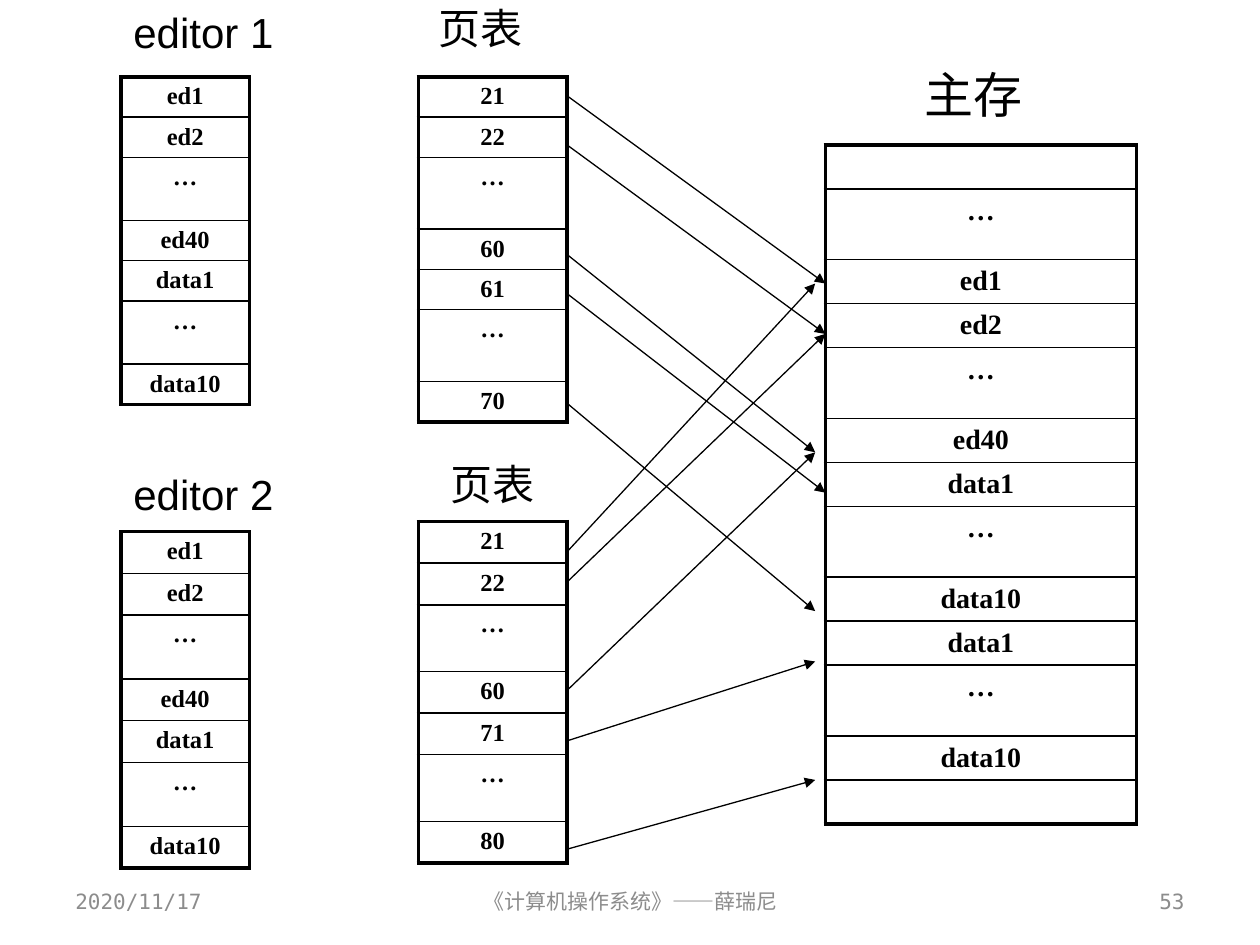
from lxml import etree
from pptx import Presentation
from pptx.dml.color import RGBColor
from pptx.enum.text import MSO_ANCHOR, PP_ALIGN
from pptx.oxml.ns import qn
from pptx.util import Inches, Pt

LEFT, CENTER, RIGHT = PP_ALIGN.LEFT, PP_ALIGN.CENTER, PP_ALIGN.RIGHT
TOP, MIDDLE = MSO_ANCHOR.TOP, MSO_ANCHOR.MIDDLE
BLACK, GREY = "000000", "8C8C8C"
GAP = "…"

# Content
EDITOR = ["ed1", "ed2", GAP, "ed40", "data1", GAP, "data10"]
PAGES_1 = ["21", "22", GAP, "60", "61", GAP, "70"]
PAGES_2 = ["21", "22", GAP, "60", "71", GAP, "80"]
MEMORY = ["", GAP, "ed1", "ed2", GAP, "ed40", "data1", GAP,
          "data10", "data1", GAP, "data10", ""]

# entries, left, top, width, row height, gap row height, text size
EDITOR_X, PAGES_X, MEMORY_X = 0.96, 3.32, 6.55
EDITOR_W, PAGES_W, MEMORY_W = 1.02, 1.18, 2.47
TABLES = [
    (EDITOR, EDITOR_X, 0.61, EDITOR_W, 0.32, 0.5, 14),
    (PAGES_1, PAGES_X, 0.61, PAGES_W, 0.32, 0.57, 14),
    (MEMORY, MEMORY_X, 1.15, MEMORY_W, 0.35, 0.56, 16),
    (EDITOR, EDITOR_X, 4.22, EDITOR_W, 0.33, 0.51, 14),
    (PAGES_2, PAGES_X, 4.14, PAGES_W, 0.33, 0.53, 14),
]

# text, left, top, width, height, size
HEADINGS = [
    ("editor 1", EDITOR_X, 0, 1.32, 0.5, 24),
    ("editor 2", EDITOR_X, 3.67, 1.32, 0.5, 24),
    ("页表", 3.38, -0.03, 0.87, 0.5, 24),
    ("页表", 3.48, 3.59, 0.87, 0.5, 24),
    ("主存", 7.24, 0.46, 0.98, 0.57, 28),
]

# text, left, width, alignment
FOOTERS = [
    ("2020/11/17", 0.5, 2.33, LEFT),
    ("《计算机操作系统》——薛瑞尼", 3.42, 3.17, CENTER),
    ("53", 7.17, 2.33, RIGHT),
]

# Arrows from page tables to memory: start y, end x, end y
ARROW_START = PAGES_X + PAGES_W
NEAR, EDGE = 6.47, MEMORY_X
ARROWS = [
    (0.76, EDGE, 2.25), (1.15, EDGE, 2.65), (4.38, NEAR, 2.25),
    (4.62, EDGE, 2.65), (2.02, NEAR, 3.59), (5.48, NEAR, 3.59),
    (2.33, EDGE, 3.91), (3.2, NEAR, 4.85), (5.88, NEAR, 5.25),
    (6.74, NEAR, 6.19),
]


def color(value):
    return RGBColor.from_string(value)


def format_text(para, font, size, shade, align, bold=False):
    para.alignment = align
    for span in para.runs:
        span.font.name = font
        span.font.size = Pt(size)
        span.font.bold = bold
        span.font.color.rgb = color(shade)


def add_text(page, text, area, font, size, shade, align=LEFT, anchor=TOP, wrap=False):
    box = page.shapes.add_textbox(*map(Inches, area))
    frame = box.text_frame
    frame.word_wrap = wrap
    frame.vertical_anchor = anchor
    frame.text = text
    format_text(frame.paragraphs[0], font, size, shade, align)


def set_borders(cell, widths):
    properties = cell._tc.get_or_add_tcPr()
    for position, (side, width) in enumerate(widths.items()):
        line = etree.Element(qn("a:ln" + side), w=str(Pt(width)))
        fill = etree.SubElement(line, qn("a:solidFill"))
        etree.SubElement(fill, qn("a:srgbClr"), val=BLACK)
        properties.insert(position, line)


def add_column(page, entries, left, top, width, row_height, gap_height, size):
    heights = [gap_height if entry == GAP else row_height for entry in entries]
    area = map(Inches, (left, top, width, sum(heights)))
    table = page.shapes.add_table(len(entries), 1, *area).table
    table.first_row = table.horz_banding = False
    last = len(entries) - 1
    for index, (entry, height) in enumerate(zip(entries, heights)):
        table.rows[index].height = Inches(height)
        cell = table.cell(index, 0)
        cell.fill.background()
        cell.text = entry
        if not entry:
            cell.margin_top = cell.margin_bottom = 0
        format_text(cell.text_frame.paragraphs[0], "Times New Roman", size,
                    BLACK, CENTER, bold=True)
        set_borders(cell, {"L": 2.25, "R": 2.25,
                           "T": 2.25 if index == 0 else 1,
                           "B": 2.25 if index == last else 1})


def add_arrow(page, start_y, end_x, end_y):
    points = map(Inches, (ARROW_START, start_y, end_x, end_y))
    arrow = page.shapes.add_connector(1, *points)
    arrow.line.color.rgb = color(BLACK)
    arrow.line.width = Pt(0.75)
    etree.SubElement(arrow.line._get_or_add_ln(), qn("a:tailEnd"), type="triangle")
    etree.SubElement(arrow._element.spPr, qn("a:effectLst"))


def main():
    deck = Presentation()
    deck.slide_width, deck.slide_height = Inches(10), Inches(7.5)
    page = deck.slides.add_slide(deck.slide_layouts[6])

    # Address spaces, page tables and main memory
    for column in TABLES:
        add_column(page, *column)
    for text, *area, size in HEADINGS:
        add_text(page, text, area, "Arial", size, BLACK)

    # Page mappings
    for arrow in ARROWS:
        add_arrow(page, *arrow)

    # Footer
    for text, left, width, align in FOOTERS:
        add_text(page, text, (left, 6.95, width, 0.4), "DejaVu Sans Mono", 12,
                 GREY, align, MIDDLE, wrap=True)

    deck.save("out.pptx")


if __name__ == "__main__":
    main()
